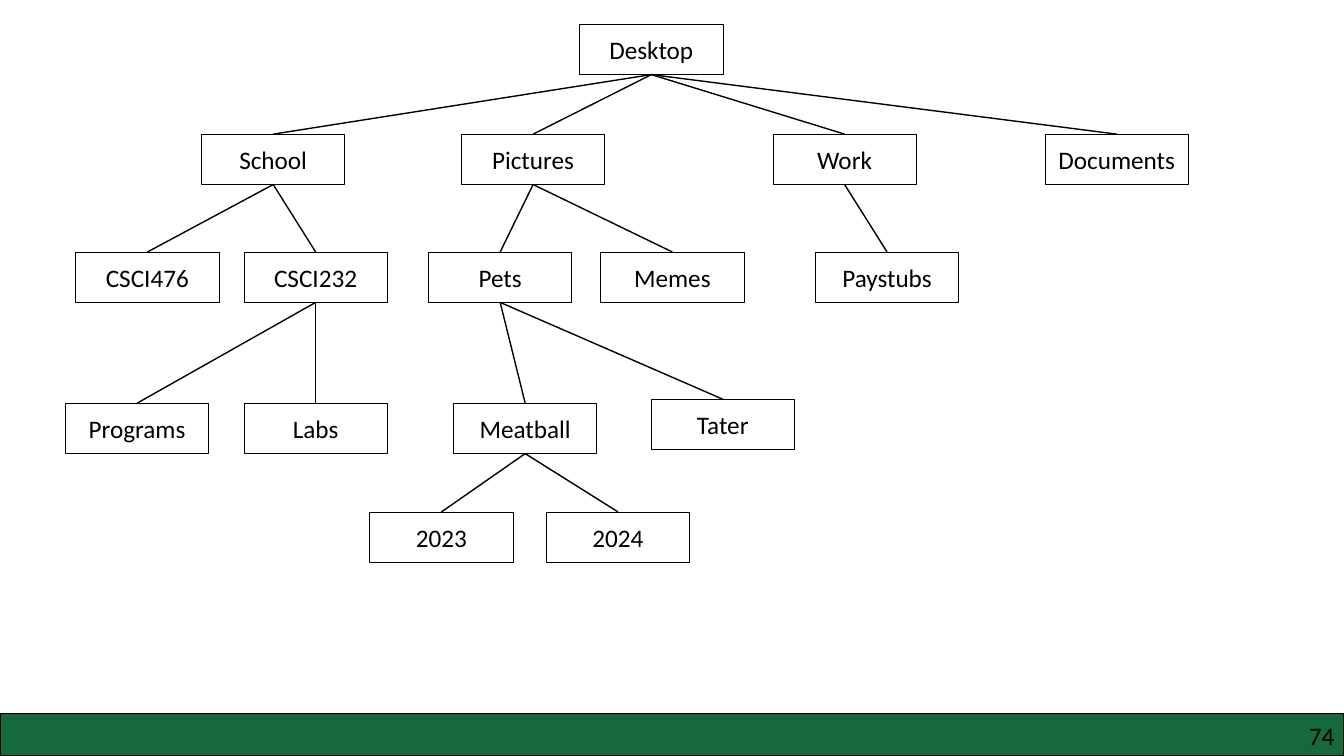
from pptx import Presentation
from pptx.dml.color import RGBColor
from pptx.enum.shapes import MSO_CONNECTOR, MSO_SHAPE
from pptx.enum.text import MSO_ANCHOR, PP_ALIGN
from pptx.oxml.ns import qn
from pptx.util import Cm, Pt
from lxml.etree import SubElement

COLORS = {"ink": "000000", "paper": "FFFFFF", "footer": "15693B"}
FONT = {"name": "Calibri", "size": Pt(18)}
SLIDE_W, SLIDE_H = 33.87, 19.05
NODE_W, NODE_H = 3.61, 1.27
TOP, BOTTOM = 0, 2  # connection sites of a rectangle

# Folder: (parent, left, top)
FOLDERS = {
    "Desktop": (None, 14.61, 0.61),
    "School": ("Desktop", 5.08, 3.38),
    "Pictures": ("Desktop", 11.63, 3.38),
    "Work": ("Desktop", 19.48, 3.38),
    "Documents": ("Desktop", 26.34, 3.38),
    "CSCI476": ("School", 1.91, 6.35),
    "CSCI232": ("School", 6.15, 6.35),
    "Pets": ("Pictures", 10.8, 6.35),
    "Memes": ("Pictures", 15.14, 6.35),
    "Paystubs": ("Work", 20.55, 6.35),
    "Programs": ("CSCI232", 1.65, 10.16),
    "Labs": ("CSCI232", 6.15, 10.16),
    "Meatball": ("Pets", 11.43, 10.16),
    "Tater": ("Pets", 16.41, 10.06),
    "2023": ("Meatball", 9.32, 12.9),
    "2024": ("Meatball", 13.77, 12.9),
}


def color(key):
    return RGBColor.from_string(COLORS[key])


class TreeSlide:
    def __init__(self, prs):
        self.s = prs.slides.add_slide(prs.slide_layouts[6])

    def label(self, sp, text, align):
        tf = sp.text_frame
        tf.word_wrap = True
        p = tf.paragraphs[0]
        p.alignment = align
        r = p.add_run()
        r.text = text
        for name, value in FONT.items():
            setattr(r.font, name, value)
        r.font.color.rgb = color("ink")
        return tf

    def outline(self, sp, width):
        sp.line.color.rgb = color("ink")
        sp.line.width = Pt(width)

    def box(self, x, y, w, h, fill, line_width):
        sp = self.s.shapes.add_shape(MSO_SHAPE.RECTANGLE, Cm(x), Cm(y), Cm(w), Cm(h))
        sp.shadow.inherit = False
        sp.fill.solid()
        sp.fill.fore_color.rgb = color(fill)
        self.outline(sp, line_width)
        return sp

    def node(self, text, x, y):
        sp = self.box(x, y, NODE_W, NODE_H, "paper", 0.5)
        tf = self.label(sp, text, PP_ALIGN.CENTER)
        tf.vertical_anchor = MSO_ANCHOR.MIDDLE
        return sp

    def branch(self, parent, child):
        line = self.s.shapes.add_connector(MSO_CONNECTOR.STRAIGHT, 0, 0, 0, 0)
        line.begin_connect(parent, BOTTOM)
        line.end_connect(child, TOP)
        self.outline(line, 1)
        SubElement(line._element.spPr, qn("a:effectLst"))

    def page_number(self, text, x, y, w, h):
        sp = self.s.shapes.add_textbox(Cm(x), Cm(y), Cm(w), Cm(h))
        tf = self.label(sp, text, PP_ALIGN.RIGHT)
        for side in ("left", "top", "right", "bottom"):
            setattr(tf, f"margin_{side}", 0)


def main():
    prs = Presentation()
    prs.slide_width, prs.slide_height = Cm(SLIDE_W), Cm(SLIDE_H)
    slide = TreeSlide(prs)

    # Footer
    footer_top = 17.98
    slide.box(0, footer_top, SLIDE_W, SLIDE_H - footer_top, "footer", 1)
    slide.page_number("74", 25.83, 18.16, 7.8, 0.76)

    # Folders
    nodes = {name: slide.node(name, x, y) for name, (_, x, y) in FOLDERS.items()}

    # Branches from each folder to its parent
    for name, (parent, _, _) in FOLDERS.items():
        if parent:
            slide.branch(nodes[parent], nodes[name])

    prs.save("out.pptx")


if __name__ == "__main__":
    main()
